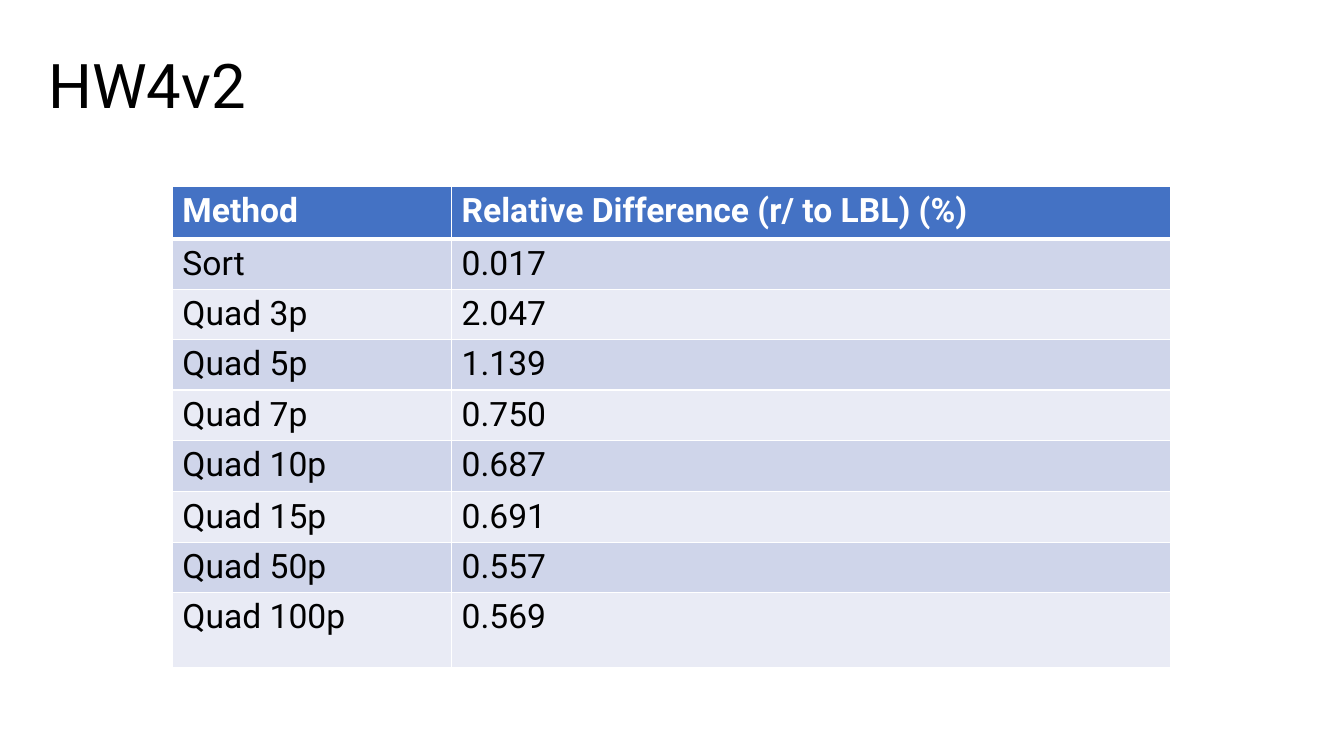
from dataclasses import dataclass

from lxml import etree
from pptx import Presentation
from pptx import util as u
from pptx.dml import color
from pptx.enum import text
from pptx.oxml import ns


@dataclass(frozen=True)
class Theme:
    font: str = "Roboto"
    title_size: int = 44
    table_size: int = 24
    ink: str = "000000"
    paper: str = "FFFFFF"
    header_fill: str = "4472C4"
    bands: tuple[str, str] = ("CFD5EA", "E9EBF5")
    rule: float = 1
    header_rule: float = 3


@dataclass(frozen=True)
class Row:
    method: str
    difference: str
    height: float = 0.5


THEME = Theme()
COLUMN_WIDTHS = (2.77, 7.13)
ROWS = (
    Row("Method", "Relative Difference (r/ to LBL) (%)", 0.52),
    Row("Sort", "0.017"),
    Row("Quad 3p", "2.047"),
    Row("Quad 5p", "1.139"),
    Row("Quad 7p", "0.750"),
    Row("Quad 10p", "0.687", 0.51),
    Row("Quad 15p", "0.691"),
    Row("Quad 50p", "0.557"),
    Row("Quad 100p", "0.569", 0.74),
)


def style_font(font, size: int, colour: str, bold: bool = False) -> None:
    font.name = THEME.font
    font.size = u.Pt(size)
    font.bold = bold
    font.color.rgb = color.RGBColor.from_string(colour)


def add_borders(cell, top: float, bottom: float) -> None:
    properties = cell._tc.get_or_add_tcPr()
    widths = {"lnL": THEME.rule, "lnR": THEME.rule, "lnT": top, "lnB": bottom}
    for position, (side, width) in enumerate(widths.items()):
        line = etree.Element(ns.qn(f"a:{side}"), w=str(u.Pt(width)))
        fill = etree.SubElement(line, ns.qn("a:solidFill"))
        etree.SubElement(fill, ns.qn("a:srgbClr"), val=THEME.paper)
        properties.insert(position, line)


def fill_cell(cell, wording: str, row_index: int) -> None:
    is_header = row_index == 0
    cell.text = wording
    style_font(
        cell.text_frame.paragraphs[0].font,
        THEME.table_size,
        THEME.paper if is_header else THEME.ink,
        is_header,
    )
    fill = THEME.header_fill if is_header else THEME.bands[(row_index - 1) % 2]
    cell.fill.solid()
    cell.fill.fore_color.rgb = color.RGBColor.from_string(fill)
    add_borders(
        cell,
        top=THEME.header_rule if row_index == 1 else THEME.rule,
        bottom=THEME.header_rule if is_header else THEME.rule,
    )


def add_title(slide, wording: str) -> None:
    title = slide.shapes.title
    title.left, title.top = u.Inches(0.38), u.Inches(0.15)
    title.width, title.height = u.Inches(12.57), u.Inches(1.45)
    frame = title.text_frame
    frame.text = wording
    frame.vertical_anchor = text.MSO_ANCHOR.MIDDLE
    paragraph = frame.paragraphs[0]
    paragraph.alignment = text.PP_ALIGN.LEFT
    paragraph.line_spacing = 0.9
    style_font(paragraph.font, THEME.title_size, THEME.ink)


def add_results_table(slide) -> None:
    table = slide.shapes.add_table(
        len(ROWS),
        len(COLUMN_WIDTHS),
        u.Inches(1.71),
        u.Inches(1.85),
        u.Inches(sum(COLUMN_WIDTHS)),
        u.Inches(sum(row.height for row in ROWS)),
    ).table
    for column, width in zip(table.columns, COLUMN_WIDTHS):
        column.width = u.Inches(width)
    for row_index, row in enumerate(ROWS):
        table.rows[row_index].height = u.Inches(row.height)
        for column_index, wording in enumerate((row.method, row.difference)):
            fill_cell(table.cell(row_index, column_index), wording, row_index)


def main() -> None:
    presentation = Presentation()
    presentation.slide_width = u.Inches(13.33)
    presentation.slide_height = u.Inches(7.5)
    slide = presentation.slides.add_slide(presentation.slide_layouts.get_by_name("Title Only"))
    add_title(slide, "HW4v2")
    add_results_table(slide)
    presentation.save("out.pptx")


if __name__ == "__main__":
    main()
